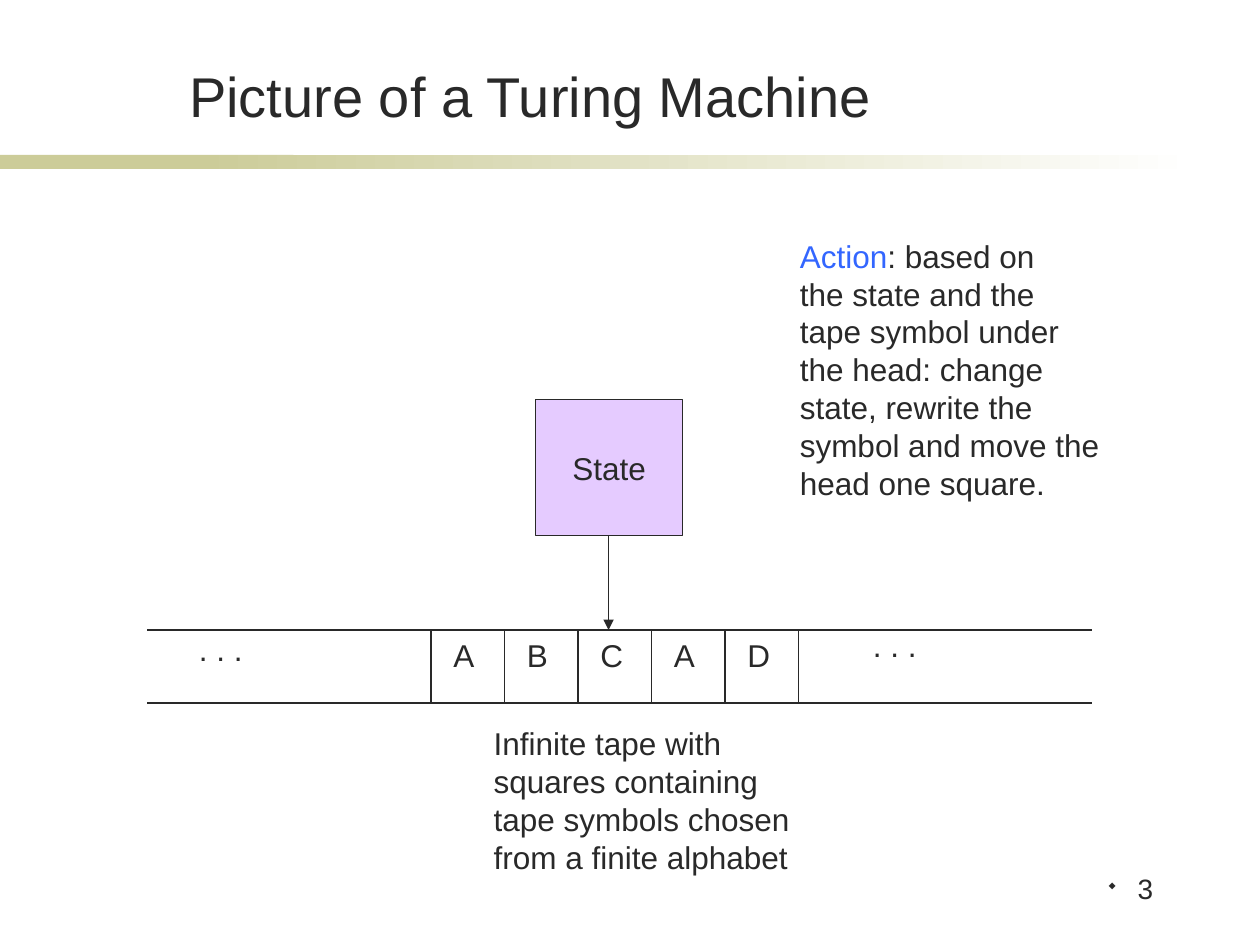
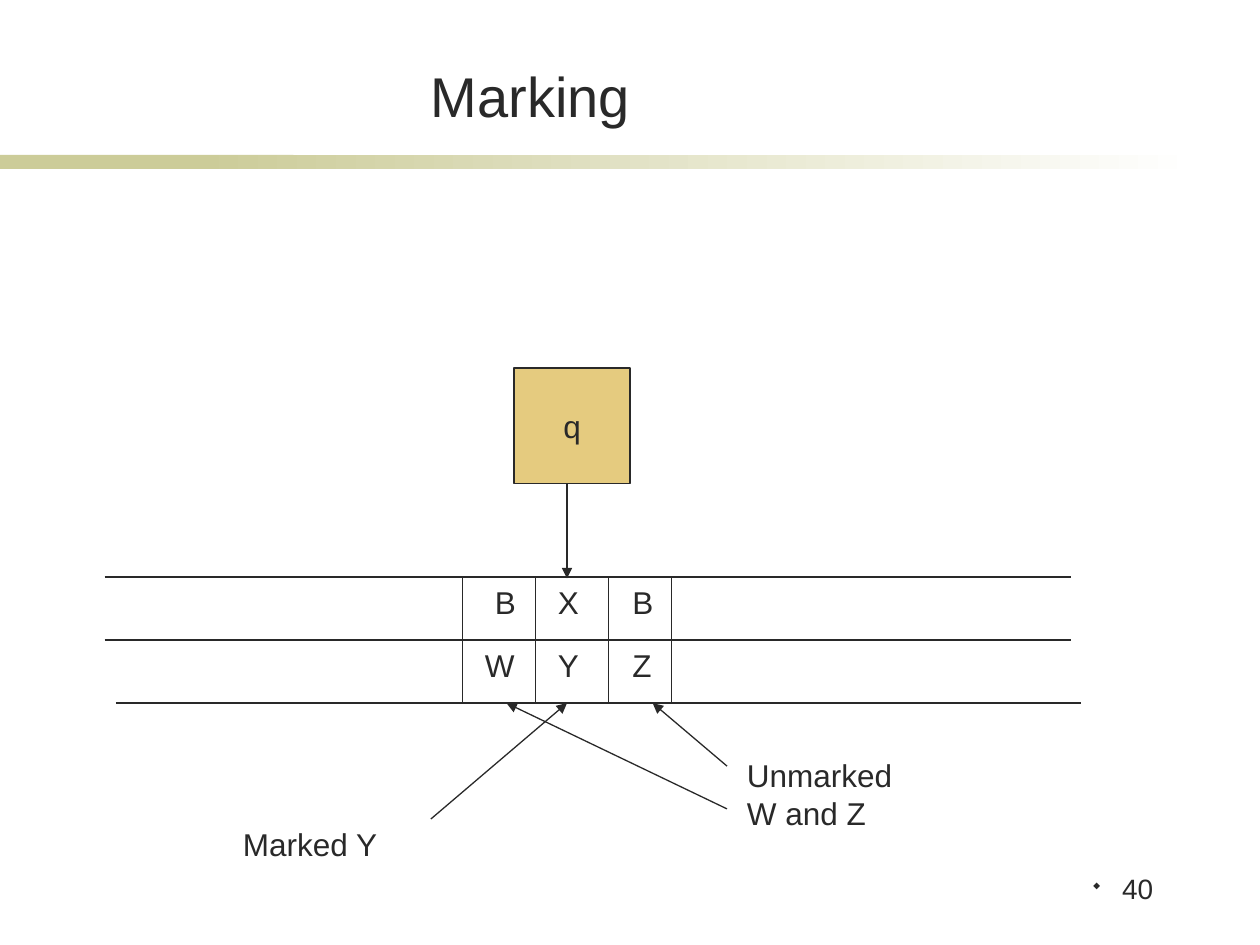
from lxml import etree
from pptx import Presentation
from pptx.dml.color import RGBColor
from pptx.enum.shapes import MSO_CONNECTOR, MSO_SHAPE
from pptx.enum.text import MSO_ANCHOR, MSO_AUTO_SIZE, PP_ALIGN
from pptx.oxml.ns import qn
from pptx.util import Inches, Pt

INK = "292929"
BAND = "CCCC99"
WHITE = "FFFFFF"
ACTION = "3366FF"
color = RGBColor.from_string


def add_text(shapes, left, top, width, height, *lines):
    """Add a text box with one paragraph per line and return its paragraphs."""
    box = shapes.add_textbox(Inches(left), Inches(top), Inches(width), Inches(height))
    frame = box.text_frame
    frame.word_wrap = True
    frame.text = "\n".join(lines)
    for para in frame.paragraphs:
        para.font.name = "Arial"
        para.font.size = Pt(18)
        para.font.color.rgb = color(INK)
    return frame.paragraphs


def add_line(shapes, x1, y1, x2, y2, arrow=False):
    line = shapes.add_connector(
        MSO_CONNECTOR.STRAIGHT, Inches(x1), Inches(y1), Inches(x2), Inches(y2))
    line.line.color.rgb = color(INK)
    line.line.width = Pt(0.75)
    if arrow:
        etree.SubElement(line.line._get_or_add_ln(), qn("a:tailEnd"), type="triangle")
    etree.SubElement(line._element.spPr, qn("a:effectLst"))


deck = Presentation()
deck.slide_width, deck.slide_height = Inches(10), Inches(7.5)

# Title, band, page number and machine head of both slides
pages = []
for title_text, number, head_text, head_fill, head_place, arrow_x in [
    ("Picture of a Turing Machine", "3", "State", "CC99FF", (4.25, 3.17, 1.17, 1.08), 4.83),
    ("Marking", "40", "q", "CC9900", (4.08, 2.92, 0.92, 0.92), 4.5),
]:
    page = deck.slides.add_slide(deck.slide_layouts[5])
    pages.append(page)

    title = page.shapes.title
    title.left, title.top = Inches(1.14), Inches(0.44)
    title.width, title.height = Inches(6.14), Inches(0.63)
    title.text_frame.text = title_text
    title.text_frame.auto_size = MSO_AUTO_SIZE.NONE
    title.text_frame.vertical_anchor = MSO_ANCHOR.BOTTOM
    para = title.text_frame.paragraphs[0]
    para.alignment = PP_ALIGN.CENTER
    para.font.name, para.font.size = "Arial", Pt(32)
    para.font.color.rgb = color(INK)

    for left, width, fades in [(0, 2.33, False), (1.58, 7.92, True)]:
        band = page.shapes.add_shape(
            MSO_SHAPE.RECTANGLE, Inches(left), Inches(1.23), Inches(width), Inches(0.11))
        band.shadow.inherit = False
        band.line.fill.background()
        if fades:
            band.fill.gradient()
            band.fill.gradient_angle = 0
            for stop, position, shade in zip(band.fill.gradient_stops, (0, 1), (BAND, WHITE)):
                stop.position = position
                stop.color.rgb = color(shade)
        else:
            band.fill.solid()
            band.fill.fore_color.rgb = color(BAND)

    para = add_text(page.shapes, 8.23, 6.9, 1.02, 0.5, number)[0]
    para.alignment = PP_ALIGN.RIGHT
    para.line_spacing = 0.9
    para.font.size = Pt(16)
    properties = para._p.get_or_add_pPr()
    properties.set("marL", str(Inches(0.24)))
    properties.set("indent", str(-Inches(0.24)))
    bullet_color = etree.Element(qn("a:buClr"))
    etree.SubElement(bullet_color, qn("a:srgbClr"), val=INK)
    bullet_size = etree.Element(qn("a:buSzPct"), val="60000")
    # The letter w is a diamond in this symbol font
    bullet_font = etree.Element(qn("a:buFont"), typeface="Wingdings", pitchFamily="2", charset="2")
    bullet = etree.Element(qn("a:buChar"), char="w")
    for element in (bullet_color, bullet_size, bullet_font, bullet):
        properties.find(qn("a:defRPr")).addprevious(element)

    head = page.shapes.add_shape(MSO_SHAPE.RECTANGLE, *map(Inches, head_place))
    head.shadow.inherit = False
    head.fill.solid()
    head.fill.fore_color.rgb = color(head_fill)
    fill_color = head._element.spPr.find(qn("a:solidFill")).find(qn("a:srgbClr"))
    etree.SubElement(fill_color, qn("a:alpha"), val="50000")
    head.line.color.rgb = color(INK)
    head.line.width = Pt(0.75)
    head.text_frame.text = head_text
    head.text_frame.word_wrap = False
    head.text_frame.vertical_anchor = MSO_ANCHOR.MIDDLE
    para = head.text_frame.paragraphs[0]
    para.alignment = PP_ALIGN.CENTER
    para.font.name, para.font.size = "Arial", Pt(18)
    para.font.color.rgb = color(INK)

    head_bottom = head_place[1] + head_place[3]
    add_line(page.shapes, arrow_x, head_bottom, arrow_x, head_bottom + 0.75, arrow=True)

# Slide 1: infinite tape
shapes = pages[0].shapes
square = 7 / 12
tape_top, tape_bottom = 5, 5.58
for y in (tape_top, tape_bottom):
    add_line(shapes, 1.17, y, 8.67, y)
for index in range(6):
    x = 3.42 + index * square
    add_line(shapes, x, tape_top, x, tape_bottom)
for index, symbol in enumerate("ABCAD"):
    add_text(shapes, 3.5 + index * square, tape_top, 0.43, 0.5, symbol)
for left, top in [(1.48, 4.95), (6.83, 4.92)]:
    add_text(shapes, left, top, 0.71, 0.5, ". . .")

add_text(shapes, 3.82, 5.7, 3.37, 1.3,
         "Infinite tape with", "squares containing",
         "tape symbols chosen", "from a finite alphabet")
action = add_text(shapes, 6.25, 1.83, 3.37, 2.9,
                  "", "the state and the", "tape symbol under", "the head: change",
                  "state, rewrite the", "symbol and move the", "head one square.")[0]
span = action.add_run()
span.text = "Action"
span.font.color.rgb = color(ACTION)
action.add_run().text = ": based on"

# Slide 2: two-track tape with marks
shapes = pages[1].shapes
for left, right, y in [(0.83, 8.5, 4.58), (0.83, 8.5, 5.08), (0.92, 8.58, 5.58)]:
    add_line(shapes, left, y, right, y)
for x in (3.67, 4.25, 4.83, 5.33):
    add_line(shapes, x, 4.58, x, 5.58)
for top, track in [
    (4.58, [(3.83, "B"), (4.33, "X"), (4.92, "B")]),
    (5.08, [(3.75, "W"), (4.33, "Y"), (4.92, "Z")]),
]:
    for left, symbol in track:
        add_text(shapes, left, top, 0.5, 0.5, symbol)

marked = shapes.add_group_shape().shapes
add_text(marked, 1.83, 6.5, 1.58, 0.5, "Marked Y")
add_line(marked, 3.42, 6.5, 4.5, 5.58, arrow=True)

unmarked = shapes.add_group_shape().shapes
add_text(unmarked, 5.83, 5.95, 1.71, 0.9, "Unmarked", "W and Z")
add_line(unmarked, 5.77, 6.42, 4.02, 5.58, arrow=True)
add_line(unmarked, 5.77, 6.08, 5.18, 5.58, arrow=True)

deck.save("out.pptx")
